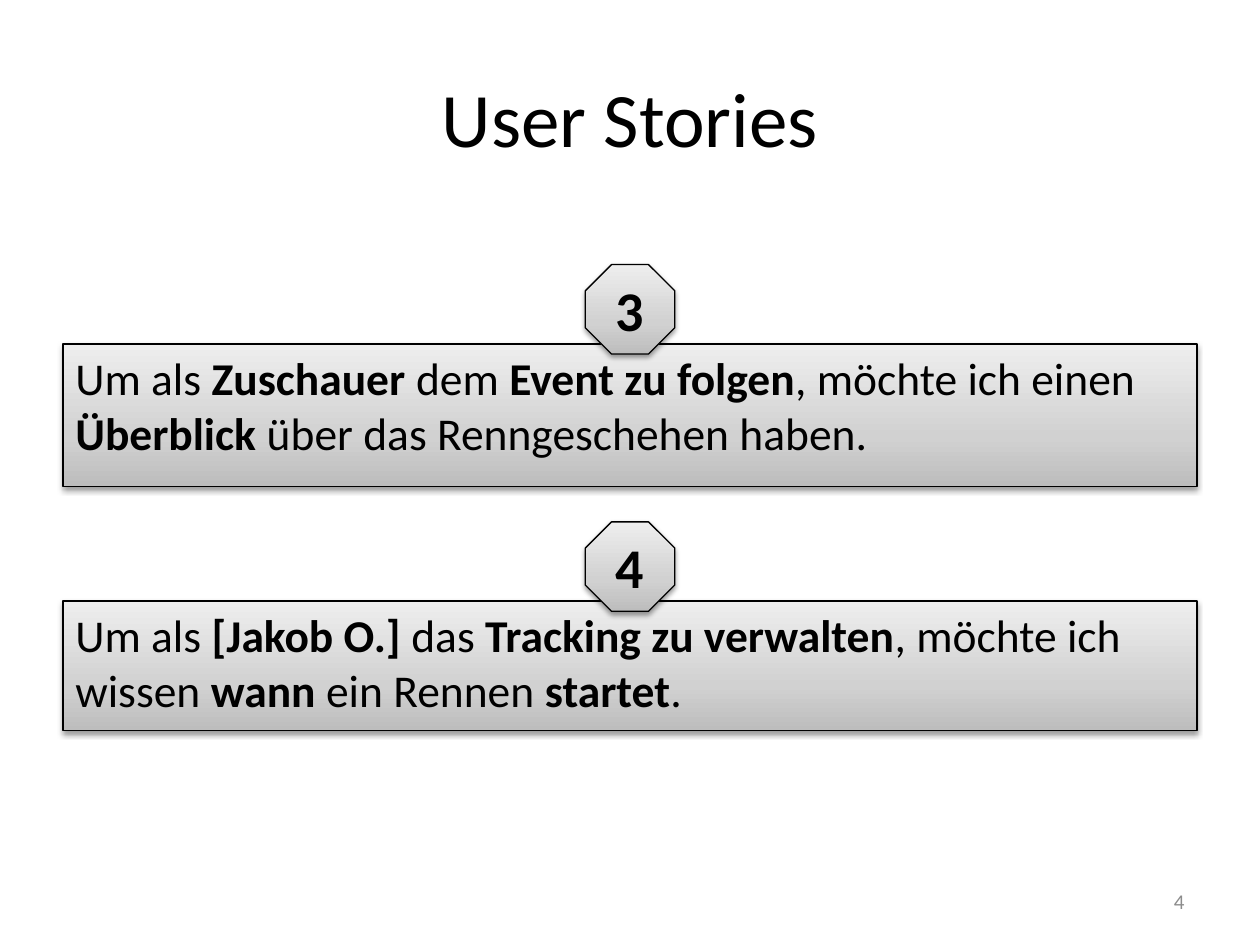
from lxml import etree
from pptx import Presentation
from pptx.dml.color import RGBColor
from pptx.enum.shapes import MSO_SHAPE
from pptx.enum.text import MSO_ANCHOR, PP_ALIGN
from pptx.oxml import parse_xml
from pptx.oxml.ns import nsdecls, qn
from pptx.util import Pt

RECTANGLE, OCTAGON = MSO_SHAPE.RECTANGLE, MSO_SHAPE.OCTAGON
TOP, MIDDLE = MSO_ANCHOR.TOP, MSO_ANCHOR.MIDDLE
LEFT, CENTER, RIGHT = PP_ALIGN.LEFT, PP_ALIGN.CENTER, PP_ALIGN.RIGHT

BLACK = RGBColor(0x00, 0x00, 0x00)
GRAY = RGBColor(0x8C, 0x8C, 0x8C)
SILVER_STOPS = [
    (0, RGBColor(0xBD, 0xBD, 0xBD)),
    (35, RGBColor(0xD1, 0xD1, 0xD1)),
    (100, RGBColor(0xEE, 0xEE, 0xEE)),
]
FONT = "Calibri"
BADGE_SIZE = 51.1

STORIES = [
    ("3", (36, 196.5, 648, 81.5), 45.3, [
        ("Um als ", False), ("Zuschauer", True), (" dem ", False),
        ("Event zu folgen", True), (", möchte ich einen ", False),
        ("Überblick", True), (" über das Renngeschehen haben.", False),
    ]),
    ("4", (36, 343.5, 648, 74), 45.3, [
        ("Um als ", False), ("[Jakob O.] ", True), ("das ", False),
        ("Tracking zu verwalten", True), (", möchte ich wissen ", False),
        ("wann", True), (" ein Rennen ", False), ("startet", True), (".", False),
    ]),
]


def write(shape, spans, size, color, align, anchor):
    frame = shape.text_frame
    frame.word_wrap = True
    frame.vertical_anchor = anchor
    para = frame.paragraphs[0]
    para.alignment = align
    para.font.name, para.font.size = FONT, Pt(size)
    para.font.color.rgb = color
    for text, bold in spans:
        span = para.add_run()
        span.text = text
        span.font.bold = bold
    return para


def add_silver_shape(page, kind, box):
    shape = page.shapes.add_shape(kind, *map(Pt, box))
    shape.line.color.rgb = BLACK
    shape.line.width = Pt(0.75)
    shape.fill.gradient()
    shape.fill.gradient_angle = 90
    properties = shape.element.spPr
    stops = properties.find(".//" + qn("a:gsLst"))
    for stop in list(stops):
        stops.remove(stop)
    for position, color in SILVER_STOPS:
        stop = etree.SubElement(stops, qn("a:gs"), pos=str(position * 1000))
        etree.SubElement(stop, qn("a:srgbClr"), val=str(color))
    shape.shadow.inherit = False
    properties.find(qn("a:effectLst")).append(parse_xml(
        f'<a:outerShdw {nsdecls("a")} blurRad="{Pt(3.1)}" dist="{Pt(1.6)}" '
        'dir="5400000" rotWithShape="0"><a:srgbClr val="000000">'
        '<a:alpha val="38000"/></a:srgbClr></a:outerShdw>'))
    return shape


def add_story(page, number, box, badge_rise, spans):
    left, top, width, height = box
    card = add_silver_shape(page, RECTANGLE, box)
    para = write(card, spans, 26, BLACK, LEFT, TOP)
    para.space_before = Pt(5.2)
    badge_box = (left + (width - BADGE_SIZE) / 2, top - badge_rise,
                 BADGE_SIZE, BADGE_SIZE)
    badge = add_silver_shape(page, OCTAGON, badge_box)
    write(badge, [(number, True)], 32, BLACK, CENTER, MIDDLE)


def add_title(page, text, box):
    title = page.shapes.title
    title.left, title.top, title.width, title.height = map(Pt, box)
    write(title, [(text, False)], 44, BLACK, CENTER, MIDDLE)


def add_page_number(page, text, box):
    number = page.shapes.add_textbox(*map(Pt, box))
    write(number, [(text, False)], 12, GRAY, RIGHT, MIDDLE)


deck = Presentation()
deck.slide_width, deck.slide_height = Pt(720), Pt(540)
page = deck.slides.add_slide(deck.slide_layouts[5])
add_title(page, "User Stories", (36, 21.6, 648, 90))
for number, box, badge_rise, spans in STORIES:
    add_story(page, number, box, badge_rise, spans)
add_page_number(page, "4", (516, 500.5, 168, 28.75))
deck.save("out.pptx")
